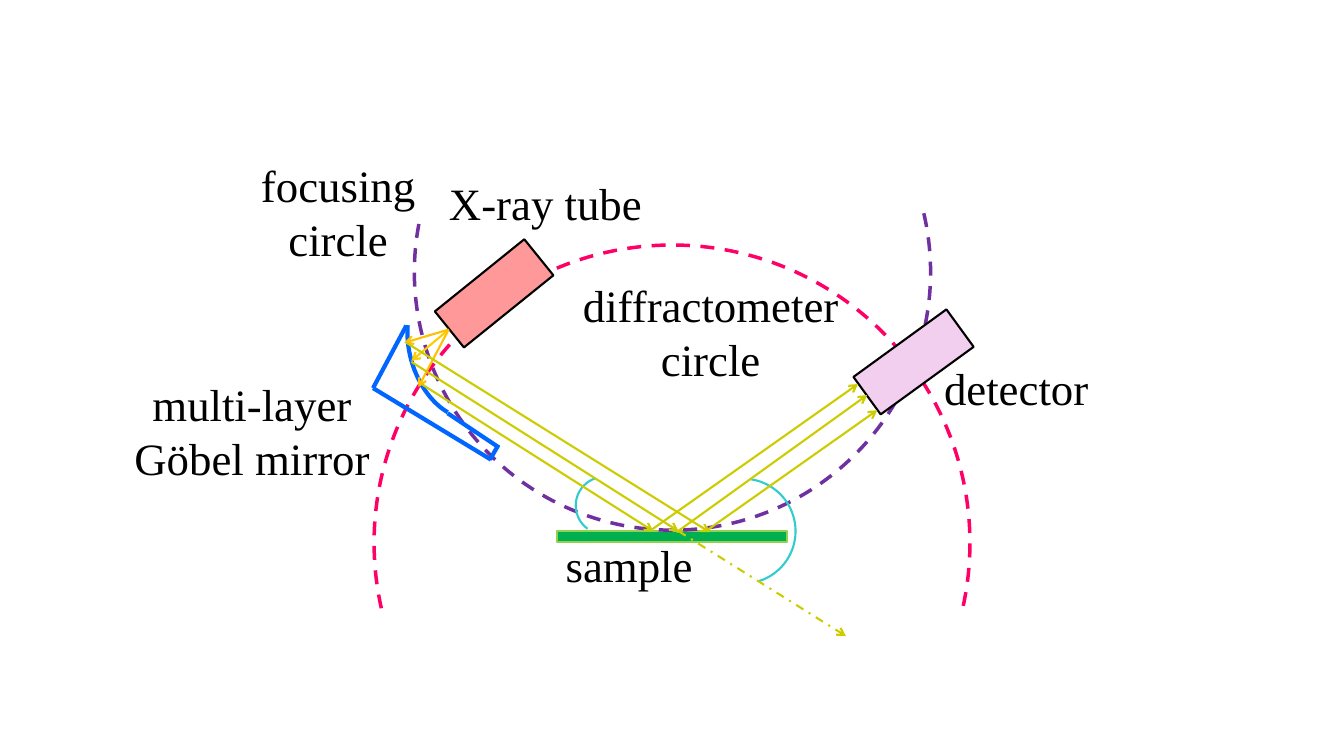
from lxml import etree
from pptx import Presentation
from pptx.dml.color import RGBColor
from pptx.enum.dml import MSO_LINE
from pptx.enum.shapes import MSO_CONNECTOR, MSO_SHAPE
from pptx.enum.text import MSO_AUTO_SIZE, PP_ALIGN
from pptx.oxml.ns import qn
from pptx.util import Pt

PX = 9144  # 100 px to the inch
FONT = "Times New Roman"
ARC, RECTANGLE = MSO_SHAPE.ARC, MSO_SHAPE.RECTANGLE
STRAIGHT = MSO_CONNECTOR.STRAIGHT
DASH, DASH_DOT = MSO_LINE.DASH, MSO_LINE.DASH_DOT
RIGHT_SIDE = 3

BLACK = RGBColor(0x00, 0x00, 0x00)
GREEN = RGBColor(0x00, 0xB0, 0x50)
LIGHT_GREEN = RGBColor(0x92, 0xD0, 0x50)
PINK = RGBColor(0xFF, 0x00, 0x66)
PURPLE = RGBColor(0x70, 0x30, 0xA0)
SALMON = RGBColor(0xFF, 0x99, 0x99)
LILAC = RGBColor(0xF2, 0xCF, 0xEE)
ORANGE = RGBColor(0xFF, 0xC0, 0x00)
AMBER = RGBColor(0xFF, 0xCC, 0x00)
OLIVE = RGBColor(0xCC, 0xCC, 0x00)
TEAL = RGBColor(0x33, 0xCC, 0xCC)
BLUE = RGBColor(0x00, 0x66, 0xFF)

presentation = Presentation()
presentation.slide_width = 1333 * PX
presentation.slide_height = 750 * PX
slide = presentation.slides.add_slide(presentation.slide_layouts[6])


def add_outlined(kind, box, rotation, color, width, fill=None):
    shape = slide.shapes.add_shape(kind, *(value * PX for value in box))
    shape.rotation = rotation
    shape.shadow.inherit = False
    if fill is None:
        shape.fill.background()
    else:
        shape.fill.solid()
        shape.fill.fore_color.rgb = fill
    shape.line.color.rgb = color
    shape.line.width = Pt(width)
    return shape


def add_line(start, end, color, width=1.5, arrow=True, source=None, target=None):
    """Draw a straight line, joined to the right side of source or target if given."""
    points = [value * PX for value in (*start, *end)]
    connector = slide.shapes.add_connector(STRAIGHT, *points)
    if source is not None:
        connector.begin_connect(source, RIGHT_SIDE)
    if target is not None:
        connector.end_connect(target, RIGHT_SIDE)
    # Joining ignores the rotation of the rectangle, so the ends are set again
    connector.begin_x, connector.begin_y, connector.end_x, connector.end_y = points
    connector.line.color.rgb = color
    connector.line.width = Pt(width)
    if arrow:
        etree.SubElement(connector.line._get_or_add_ln(), qn("a:tailEnd"), type="arrow")
    etree.SubElement(connector._element.spPr, qn("a:effectLst"))
    return connector


# Sample, tube and detector
add_outlined(RECTANGLE, (552, 527, 229, 11), 0, LIGHT_GREEN, 1.5, GREEN)
tube = add_outlined(RECTANGLE, (433, 268, 114, 46), 141.1, BLACK, 1.5, SALMON)
detector = add_outlined(RECTANGLE, (849, 336, 114, 46), 144, BLACK, 1.5, LILAC)

# Circles, angle marks and the curved face of the mirror
arcs = [
    ((371, 243, 591, 591), 191.6, (201.43, 108.81), PINK, 2.5, DASH),
    ((411, 14, 512, 512), 11.1, (201.43, 108.81), PURPLE, 2.5, DASH),
    ((685, 475, 104, 104), 83.7, (116.78, 209.23), TEAL, 1.5, None),
    ((571, 473, 57, 57), 194.7, (174.81, 34.14), TEAL, 1.5, None),
    ((383, 294, 146, 100), 74.5, (15.58, 76.74), BLUE, 3, None),
]
for box, rotation, angles, color, width, dash in arcs:
    arc = add_outlined(ARC, box, rotation, color, width)
    arc.adjustments[0], arc.adjustments[1] = angles
    if dash is not None:
        arc.line.dash_style = dash
# The circles run behind the tube, the detector and the sample
tree = slide.shapes._spTree
for circle in [shape for shape in slide.shapes if shape.width > 500 * PX]:
    tree.remove(circle._element)
    tree.insert(3, circle._element)

# Straight sides of the mirror
for start, end in [
    ((403, 323), (370, 385)),
    ((370, 385), (487, 456)),
    ((444, 410), (495, 444)),
    ((486, 456), (494, 442)),
]:
    add_line(start, end, BLUE, 3, arrow=False)

# Rays from the tube to the mirror
for end, color in [((415, 384), ORANGE), ((408, 358), AMBER), ((401, 340), ORANGE)]:
    add_line((445, 327), end, color, source=tube)

# Rays from the mirror to the sample and on to the detector
for start, end, target in [
    ((403, 340), (704, 528), None),
    ((408, 359), (673, 527), None),
    ((418, 381), (648, 527), None),
    ((671, 528), (860, 392), detector),
    ((647, 525), (851, 381), None),
    ((700, 527), (870, 407), None),
]:
    add_line(start, end, OLIVE, target=target)
direct_beam = add_line((673, 527), (839, 631), OLIVE)
direct_beam.line.dash_style = DASH_DOT

labels = [
    ((240, 152, 191, 118), ["focusing", "circle"]),
    ((562, 271, 286, 118), ["diffractometer", "circle"]),
    ((543, 529, 162, 64), ["sample"]),
    ((430, 169, 222, 64), ["X-ray tube"]),
    ((923, 353, 170, 64), ["detector"]),
    ((121, 369, 258, 118), ["multi-layer", "Göbel mirror"]),
]
for box, lines in labels:
    frame = slide.shapes.add_textbox(*(value * PX for value in box)).text_frame
    frame.word_wrap = True
    frame.auto_size = MSO_AUTO_SIZE.SHAPE_TO_FIT_TEXT
    for index, line in enumerate(lines):
        paragraph = frame.add_paragraph() if index else frame.paragraphs[0]
        paragraph.alignment = PP_ALIGN.CENTER
        run = paragraph.add_run()
        run.text = line
        run.font.name = FONT
        run.font.size = Pt(32)
        run.font.color.rgb = BLACK

presentation.save("out.pptx")
